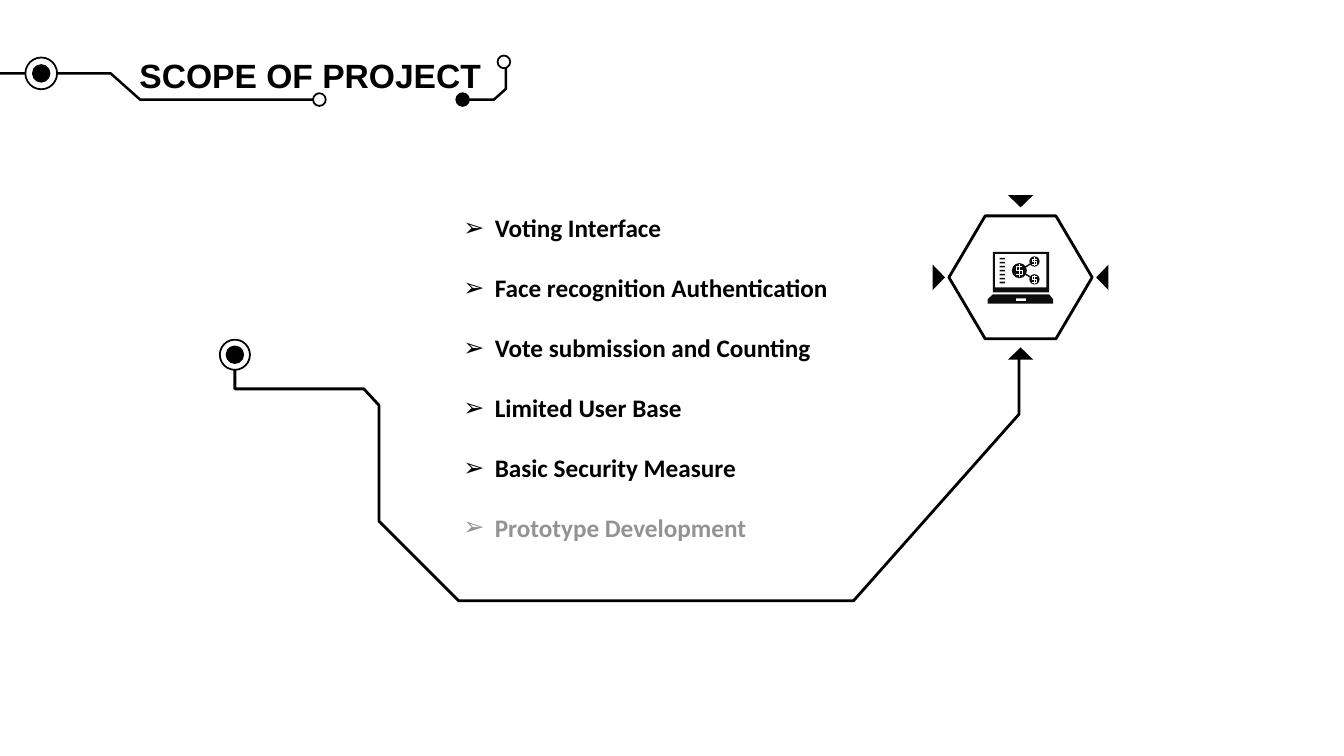
from lxml import etree
from pptx import Presentation
from pptx import util as u
from pptx.dml.color import RGBColor
from pptx.enum import shapes, text
from pptx.oxml.ns import qn

BLACK, WHITE, GREY, ICON = "000000", "FFFFFF", "939393", "0D0D0D"
HEXAGON_X, HEXAGON_Y = 25.72, 6.99
SCOPE = [
    ("Voting Interface", BLACK),
    ("Face recognition Authentication", BLACK),
    ("Vote submission and Counting", BLACK),
    ("Limited User Base", BLACK),
    ("Basic Security Measure", BLACK),
    ("Prototype Development", GREY),
]


def color(value):
    return RGBColor.from_string(value)


def style(shape, fill=None, line=None, line_width=1.25):
    shape.shadow.inherit = False
    if fill:
        shape.fill.solid()
        shape.fill.fore_color.rgb = color(fill)
    else:
        shape.fill.background()
    if line:
        shape.line.color.rgb = color(line)
        shape.line.width = u.Pt(line_width)
    else:
        shape.line.fill.background()


def add_centred(slide, kind, x, y, width, height, **look):
    """Add a preset shape around the centre x, y."""
    shape = slide.shapes.add_shape(kind, u.Cm(x - width / 2), u.Cm(y - height / 2),
                                   u.Cm(width), u.Cm(height))
    style(shape, **look)
    return shape


def add_dot(slide, x, y, diameter, fill, line=BLACK):
    add_centred(slide, shapes.MSO_SHAPE.OVAL, x, y, diameter, diameter, fill=fill, line=line)


def add_ring(slide, x, y, diameter):
    add_dot(slide, x, y, diameter, WHITE)
    add_dot(slide, x, y, 0.42, BLACK)


def add_outline(slide, *contours, closed=False, **look):
    """Add one freeform from lists of points; a second contour makes a hole."""
    emu = [[(u.Cm(x), u.Cm(y)) for x, y in contour] for contour in contours]
    builder = slide.shapes.build_freeform(*emu[0][0])
    for index, contour in enumerate(emu):
        if index:
            builder.move_to(*contour[0])
        builder.add_line_segments(contour[1:], close=closed)
    style(builder.convert_to_shape(), **look)


def rectangle(left, top, right, bottom):
    return [(left, top), (left, bottom), (right, bottom), (right, top)]


def add_coin(slide, x, y, diameter):
    add_dot(slide, x, y, diameter, ICON, line=None)
    sign = [(0.2, -0.25), (-0.2, -0.25), (-0.2, 0), (0.2, 0), (0.2, 0.25), (-0.2, 0.25)]
    stem = [(0, -0.42), (0, 0.42)]
    contours = [[(x + dx * diameter, y + dy * diameter) for dx, dy in part]
                for part in (sign, stem)]
    add_outline(slide, *contours, line=WHITE, line_width=1.8 * diameter)


def add_text_box(slide, left, top, width, height):
    frame = slide.shapes.add_textbox(u.Cm(left), u.Cm(top), u.Cm(width), u.Cm(height)).text_frame
    frame.word_wrap = True
    return frame


def set_font(paragraph, name, size, value):
    paragraph.font.name = name
    paragraph.font.size = u.Pt(size)
    paragraph.font.bold = True
    paragraph.font.color.rgb = color(value)


def add_bullet(paragraph):
    properties = paragraph._p.get_or_add_pPr()
    properties.set("marL", str(u.Cm(2.06)))
    properties.set("indent", str(u.Cm(-0.79)))
    etree.SubElement(properties, qn("a:buFont")).set("typeface", "Arial")
    etree.SubElement(properties, qn("a:buChar")).set("char", "➢")


def add_title(slide):
    add_outline(slide, [(0, 1.85), (2.79, 1.85), (3.53, 2.51), (7.9, 2.51)],
                line=BLACK, line_width=1.75)
    add_ring(slide, 1.04, 1.85, 0.8)
    add_dot(slide, 8.05, 2.51, 0.32, WHITE)
    paragraph = add_text_box(slide, 2.13, 1.27, 11.38, 1.27).paragraphs[0]
    paragraph.text = "SCOPE OF PROJECT"
    paragraph.alignment = text.PP_ALIGN.CENTER
    set_font(paragraph, "Arial", 24, BLACK)
    add_outline(slide, [(12.75, 1.7), (12.75, 2.24), (12.45, 2.51), (11.81, 2.51)],
                line=BLACK, line_width=1.75)
    add_dot(slide, 11.66, 2.51, 0.32, BLACK)
    add_dot(slide, 12.7, 1.56, 0.32, WHITE)


def add_circuit(slide):
    add_outline(slide, [(25.68, 9.04), (25.68, 10.44), (21.51, 15.14), (11.56, 15.14),
                        (9.55, 13.13), (9.55, 10.21), (9.17, 9.8), (5.92, 9.8),
                        (5.92, 9.07)], line=BLACK, line_width=2)
    add_ring(slide, 5.92, 8.94, 0.76)


def add_hexagon(slide):
    for dx, dy, rotation in [(0, 1.92, 0), (-2.06, 0, 90), (0, -1.92, 180), (2.06, 0, 270)]:
        triangle = add_centred(slide, shapes.MSO_SHAPE.ISOSCELES_TRIANGLE, HEXAGON_X + dx,
                               HEXAGON_Y + dy, 0.64, 0.31, fill=BLACK)
        triangle.rotation = rotation
    hexagon = add_centred(slide, shapes.MSO_SHAPE.HEXAGON, HEXAGON_X, HEXAGON_Y, 3.61, 3.1,
                          line=BLACK, line_width=2)
    hexagon.adjustments[0] = 0.295


def add_laptop(slide):
    base = [(26.54, 7.54), (26.54, 7.65), (24.89, 7.65), (24.89, 7.54),
            (25.02, 7.42), (26.44, 7.42)]
    touchpad = rectangle(25.6, 7.52, 25.86, 7.59)
    add_outline(slide, base, touchpad, closed=True, fill=ICON)
    screen = rectangle(25.02, 6.35, 26.44, 7.37)
    display = rectangle(25.07, 6.4, 26.37, 7.24)[::-1]
    add_outline(slide, screen, display, closed=True, fill=ICON)
    for row in range(7):
        add_centred(slide, shapes.MSO_SHAPE.RECTANGLE, 25.26, 6.52 + row * 0.1, 0.13, 0.04,
                    fill=ICON)
    large, upper, lower = (25.69, 6.82), (26.07, 6.59), (26.07, 7.04)
    add_outline(slide, [upper, large, lower], line=ICON, line_width=1)
    add_coin(slide, *large, 0.38)
    for small in (upper, lower):
        add_coin(slide, *small, 0.26)


def add_scope(slide):
    frame = add_text_box(slide, 10.16, 5.23, 13.97, 13.6)
    for index, (item, value) in enumerate(SCOPE):
        paragraph = frame.add_paragraph() if index else frame.paragraphs[0]
        paragraph.text = item
        add_bullet(paragraph)
        if index:
            paragraph.space_before = u.Pt(21.2)
        set_font(paragraph, "Calibri", 18, value)


def main():
    presentation = Presentation()
    presentation.slide_width = u.Cm(33.87)
    presentation.slide_height = u.Cm(19.05)
    slide = presentation.slides.add_slide(presentation.slide_layouts[6])
    add_title(slide)
    add_circuit(slide)
    add_hexagon(slide)
    add_laptop(slide)
    add_scope(slide)
    presentation.save("out.pptx")


if __name__ == "__main__":
    main()
